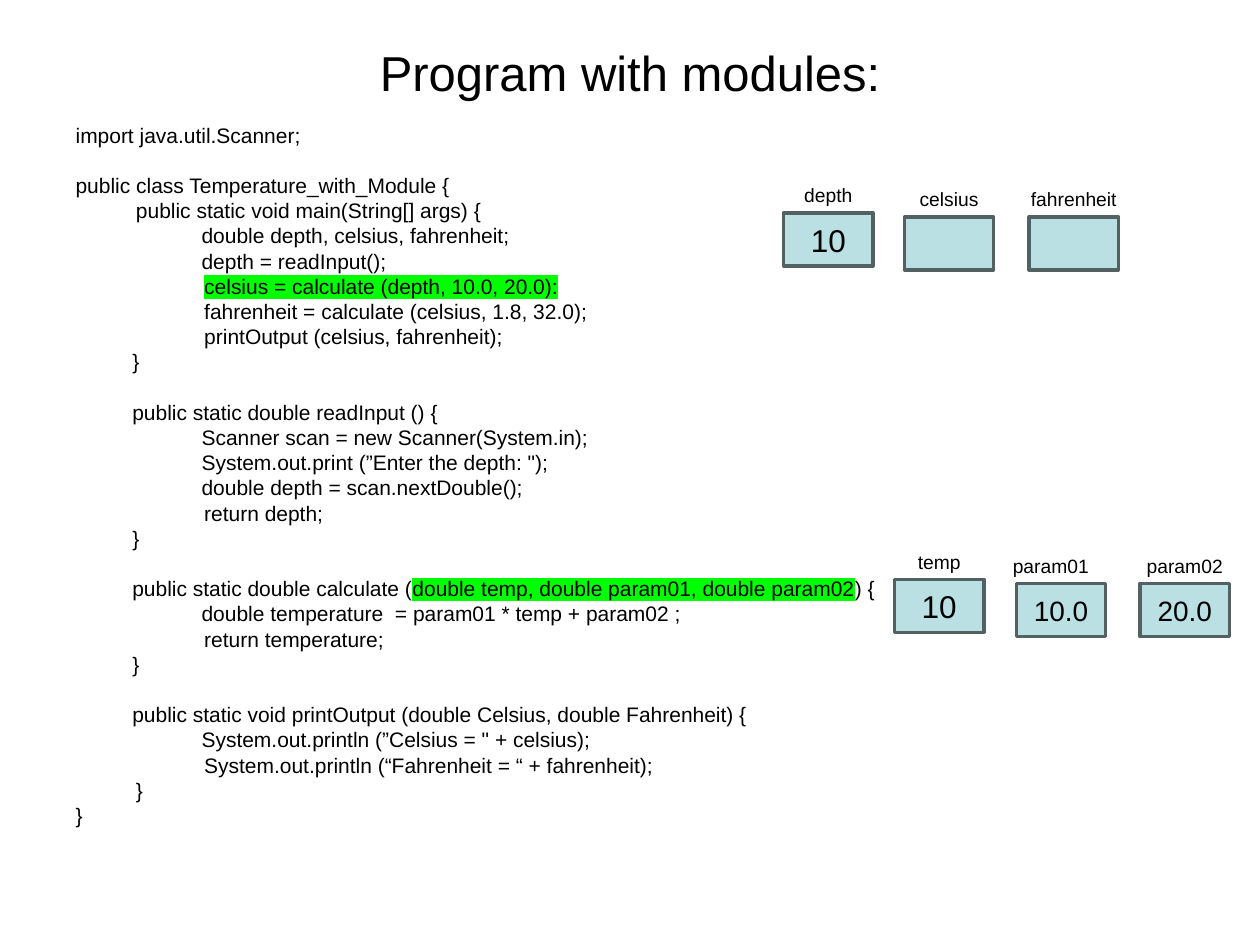
from pptx import Presentation
from pptx.dml.color import RGBColor
from pptx.enum import shapes, text
from pptx.oxml.ns import qn
from pptx.util import Pt

BLACK = RGBColor(0x00, 0x00, 0x00)
FILL = RGBColor(0xBB, 0xE0, 0xE3)
BORDER = RGBColor(0x52, 0x62, 0x63)
HIGHLIGHT = RGBColor(0x00, 0xFF, 0x00)
FONT = "Arial"
LINE = 14.4
METHOD, MEMBER, TAB, BODY = 32.4, 34.5, 72, 73.5

CODE_BLOCKS = [
    [(0, "import java.util.Scanner;")],
    [(0, "public class Temperature_with_Module {"),
     (MEMBER, "public static void main(String[] args) {"),
     (TAB, "double depth, celsius, fahrenheit;"),
     (TAB, "depth = readInput();"),
     (BODY, "celsius = calculate (depth, 10.0, 20.0):"),
     (BODY, "fahrenheit = calculate (celsius, 1.8, 32.0);"),
     (BODY, "printOutput (celsius, fahrenheit);"),
     (METHOD, "}")],
    [(METHOD, "public static double readInput () {"),
     (TAB, "Scanner scan = new Scanner(System.in);"),
     (TAB, "System.out.print (”Enter the depth: \");"),
     (TAB, "double depth = scan.nextDouble();"),
     (BODY, "return depth;"),
     (METHOD, "}")],
    [(METHOD, "public static double calculate (double temp, double param01, double param02) {"),
     (TAB, "double temperature  = param01 * temp + param02 ;"),
     (BODY, "return temperature;"),
     (METHOD, "}")],
    [(METHOD, "public static void printOutput (double Celsius, double Fahrenheit) {"),
     (TAB, "System.out.println (”Celsius = \" + celsius);"),
     (BODY, "System.out.println (“Fahrenheit = “ + fahrenheit);"),
     (MEMBER, "}"),
     (0, "}")],
]
MARKED = ["celsius = calculate (depth, 10.0, 20.0):",
          "double temp, double param01, double param02"]
MAIN_VARS = [("depth", "10", 18, 0, 0, 0), ("celsius", "", 18, 69, 2.3, 0),
             ("fahrenheit", "", 18, 140.3, 2.3, 0)]
CALC_VARS = [("temp", "10", 18, 0, 0, 0), ("param01", "10.0", 16, 69.6, 2.3, -5.8),
             ("param02", "20.0", 16, 140.3, 2.3, 0)]


def style(r, size):
    """Set the font of a run."""
    r.font.size = Pt(size)
    r.font.color.rgb = BLACK
    r.font.name = FONT


def mark(r):
    """Highlight a run."""
    fill = r.font._element.find(qn("a:solidFill"))
    hl = fill.makeelement(qn("a:highlight"), {})
    hl.append(hl.makeelement(qn("a:srgbClr"), {"val": str(HIGHLIGHT)}))
    fill.addnext(hl)


def place(sp, x, y, w, h):
    """Move a placeholder to a box."""
    sp.left, sp.top, sp.width, sp.height = Pt(x), Pt(y), Pt(w), Pt(h)
    sp.text_frame.auto_size = text.MSO_AUTO_SIZE.NONE


def center(sp, value, size):
    """Write centred text into a shape."""
    tf = sp.text_frame
    tf.margin_left = tf.margin_right = tf.margin_top = tf.margin_bottom = 0
    tf.vertical_anchor = text.MSO_ANCHOR.MIDDLE
    tf.text = value
    p = tf.paragraphs[0]
    p.alignment = text.PP_ALIGN.CENTER
    for r in p.runs:
        style(r, size)


def add_title(s, x, y, w, h):
    """Fill the title placeholder."""
    place(s.shapes.title, x, y, w, h)
    center(s.shapes.title, "Program with modules:", 28)


def add_line(p, indent, line, gap):
    """Write one line of code, highlighting its marked part."""
    pPr = p._p.get_or_add_pPr()
    pPr.set("marL", str(Pt(indent)))
    pPr.set("indent", "0")
    pPr.append(pPr.makeelement(qn("a:buNone"), {}))
    p.line_spacing = Pt(LINE)
    p.space_before = Pt(gap)
    marked = next((m for m in MARKED if m in line), "")
    before, _, after = line.partition(marked) if marked else (line, "", "")
    for part in filter(None, (before, marked, after)):
        r = p.add_run()
        r.text = part
        style(r, 12)
        if part == marked:
            mark(r)


def add_code(s, x, y, w, h):
    """Fill the body placeholder with the program."""
    sp = s.placeholders[1]
    place(sp, x, y, w, h)
    tf = sp.text_frame
    p = tf.paragraphs[0]
    for i, block in enumerate(CODE_BLOCKS):
        for j, (indent, line) in enumerate(block):
            if i or j:
                p = tf.add_paragraph()
            add_line(p, indent, line, LINE if i and not j else 0)


def add_variables(s, x, y, variables):
    """Draw a row of labelled memory cells."""
    w, h, label_w, label_h = 51, 30.2, 65.5, 20.9
    for name, value, size, dx, dy, shift in variables:
        left, top = x + dx, y + label_h + dy
        sp = s.shapes.add_shape(shapes.MSO_SHAPE.RECTANGLE, Pt(left), Pt(top), Pt(w), Pt(h))
        sp.shadow.inherit = False
        sp.fill.solid()
        sp.fill.fore_color.rgb = FILL
        sp.line.color.rgb = BORDER
        sp.line.width = Pt(2)
        center(sp, value, size)
        label = s.shapes.add_textbox(Pt(left + (w - label_w) / 2 + shift), Pt(top - label_h),
                                     Pt(label_w), Pt(label_h))
        label.text_frame.word_wrap = True
        center(label, name, 11)


def main():
    """Build the slide."""
    prs = Presentation()
    prs.slide_width, prs.slide_height = Pt(720), Pt(540)
    s = prs.slides.add_slide(prs.slide_layouts[1])
    add_title(s, 36, 21.6, 648, 38.9)
    add_code(s, 36, 66.2, 648, 419)
    add_variables(s, 447.8, 100.8, MAIN_VARS)
    add_variables(s, 511.2, 310.3, CALC_VARS)
    prs.save("out.pptx")


if __name__ == "__main__":
    main()
